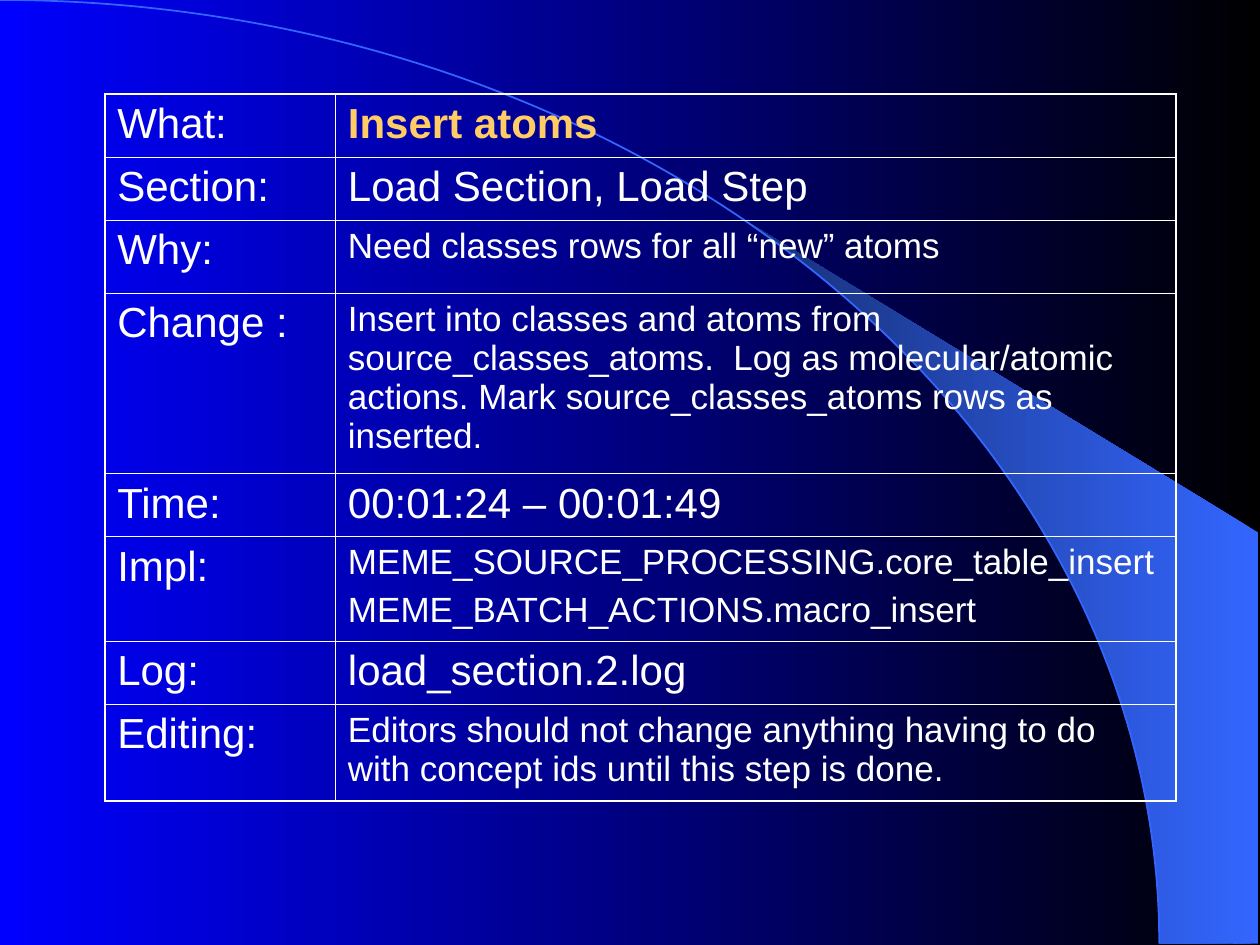
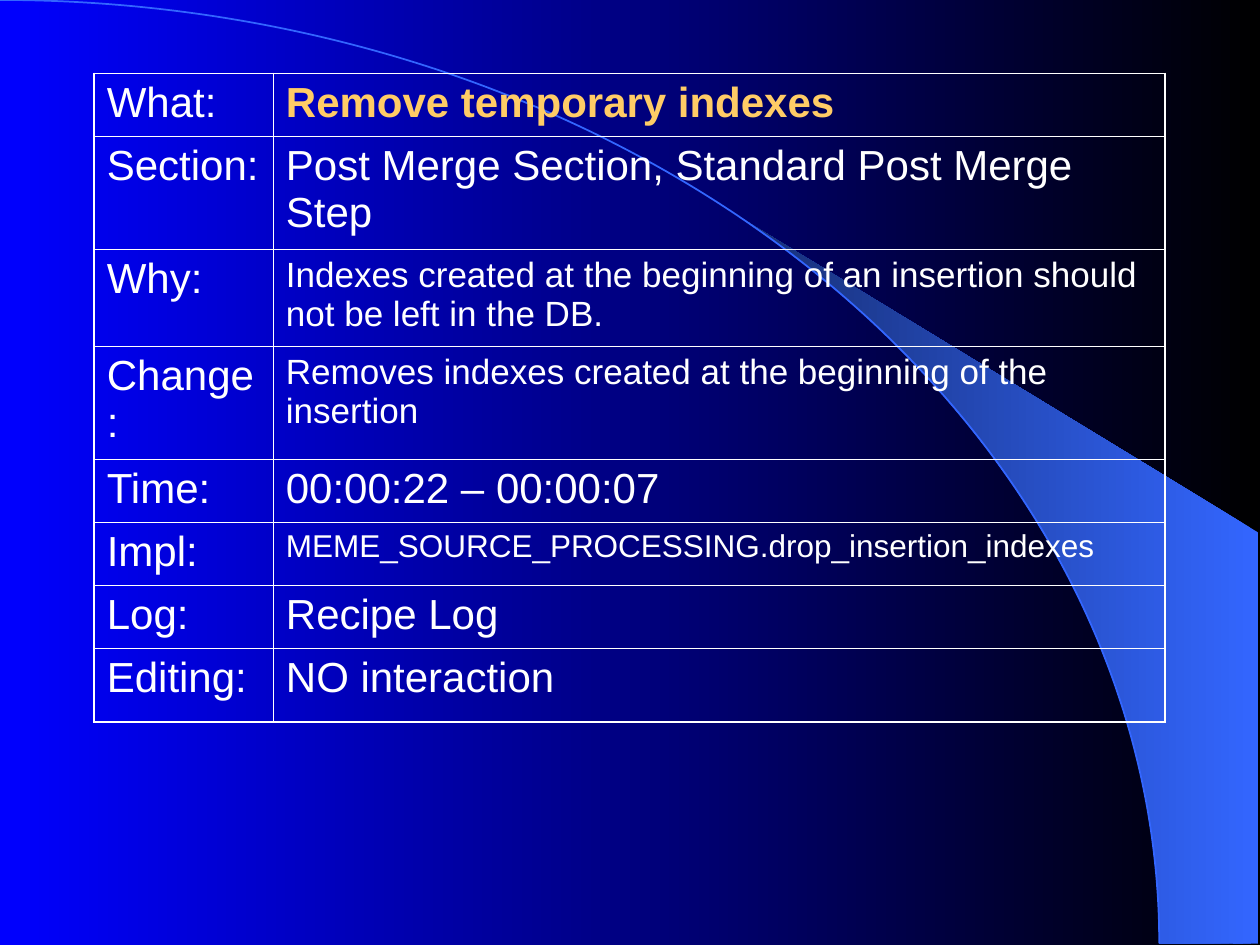
from dataclasses import dataclass
from math import cos, radians, sin

from lxml.etree import SubElement
from pptx import Presentation
from pptx.dml.color import RGBColor
from pptx.dml.fill import FillFormat
from pptx.enum.shapes import MSO_SHAPE
from pptx.oxml.ns import qn
from pptx.slide import Slide
from pptx.table import _Cell
from pptx.util import Cm, Pt

FONT = "Arial"
WHITE, GOLD = "FFFFFF", "FFCC66"
BLACK, BLUE = "000000", "0000FF"
SKY, NAVY = "3366FF", "172F75"

PAGE_WIDTH, PAGE_HEIGHT = 25.4, 19.05
ARC_RADIUS_X, ARC_RADIUS_Y = 23.37, 19.02
BEAM_RIGHT, BEAM_TOP = 25.37, 10.74
BEAM_START_ANGLE, BEAM_STEPS = 39.8, 24

OUTER_LINE, INNER_LINE = 1.08, 0.45
LABEL_SIZE = 24


@dataclass(frozen=True)
class Entry:
    label: str
    text: str
    height: float
    size: int = LABEL_SIZE
    is_heading: bool = False


@dataclass(frozen=True)
class StepCard:
    left: float
    top: float
    label_width: float
    text_width: float
    entries: tuple[Entry, ...]


CARDS = (
    StepCard(2.11, 1.9, 4.65, 16.94, (
        Entry("What:", "Insert atoms", 1.27, is_heading=True),
        Entry("Section:", "Load Section, Load Step", 1.27),
        Entry("Why:", "Need classes rows for all “new” atoms", 1.48, 20),
        Entry("Change :", "Insert into classes and atoms from source_classes_atoms.  "
              "Log as molecular/atomic actions. Mark source_classes_atoms rows as inserted.",
              3.63, 20),
        Entry("Time:", "00:01:24 – 00:01:49", 1.27),
        Entry("Impl:", "MEME_SOURCE_PROCESSING.core_table_insert\n"
              "MEME_BATCH_ACTIONS.macro_insert", 2.11, 20),
        Entry("Log:", "load_section.2.log", 1.27),
        Entry("Editing:", "Editors should not change anything having to do "
              "with concept ids until this step is done.", 1.95, 20),
    )),
    StepCard(1.9, 1.48, 3.61, 17.98, (
        Entry("What:", "Remove temporary indexes", 1.27, is_heading=True),
        Entry("Section:", "Post Merge Section, Standard Post Merge Step", 2.28),
        Entry("Why:", "Indexes created at the beginning of an insertion should "
              "not be left in the DB.", 1.95, 20),
        Entry("Change :", "Removes indexes created at the beginning of the insertion",
              2.28, 20),
        Entry("Time:", "00:00:22 – 00:00:07", 1.27),
        Entry("Impl:", "MEME_SOURCE_PROCESSING.drop_insertion_indexes", 1.27, 18),
        Entry("Log:", "Recipe Log", 1.27),
        Entry("Editing:", "NO interaction", 1.48),
    )),
)


def color(value: str) -> RGBColor:
    return RGBColor.from_string(value)


def fill_gradient(fill: FillFormat, right: str, left: str) -> None:
    fill.gradient()
    fill.gradient_angle = 180
    for stop, value in zip(fill.gradient_stops, (right, left)):
        stop.color.rgb = color(value)


def arc_point(degrees: float) -> tuple[int, int]:
    """Point on the large arc, measured clockwise from its top."""
    angle = radians(degrees)
    return Cm(ARC_RADIUS_X * sin(angle)), Cm(ARC_RADIUS_Y * (1 - cos(angle)))


def draw_backdrop(page: Slide) -> None:
    fill_gradient(page.background.fill, BLACK, BLUE)

    step = (90 - BEAM_START_ANGLE) / BEAM_STEPS
    edge = [arc_point(BEAM_START_ANGLE + step * i) for i in range(BEAM_STEPS + 1)]
    corners = [(Cm(BEAM_RIGHT), Cm(ARC_RADIUS_Y)), (Cm(BEAM_RIGHT), Cm(BEAM_TOP))]
    builder = page.shapes.build_freeform(*edge[0])
    builder.add_line_segments(edge[1:] + corners, close=True)
    beam = builder.convert_to_shape()
    beam.shadow.inherit = False
    beam.line.fill.background()
    fill_gradient(beam.fill, SKY, NAVY)

    arc = page.shapes.add_shape(MSO_SHAPE.ARC, Cm(-ARC_RADIUS_X), Cm(0),
                                Cm(2 * ARC_RADIUS_X), Cm(2 * ARC_RADIUS_Y))
    arc.shadow.inherit = False
    arc.fill.background()
    arc.line.color.rgb = color(SKY)
    arc.line.width = Pt(1)


def set_borders(cell: _Cell, widths: dict[str, float]) -> None:
    properties = cell._tc.get_or_add_tcPr()
    for side, width in widths.items():
        line = SubElement(properties, qn(f"a:ln{side}"), w=str(Pt(width)))
        solid = SubElement(line, qn("a:solidFill"))
        SubElement(solid, qn("a:srgbClr"), val=WHITE)


def write_cell(cell: _Cell, text: str, size: int, is_heading: bool = False) -> None:
    cell.fill.background()
    cell.text_frame.text = text
    for index, paragraph in enumerate(cell.text_frame.paragraphs):
        if index:
            paragraph.space_before = Pt(size / 4)
        for span in paragraph.runs:
            span.font.name = FONT
            span.font.size = Pt(size)
            span.font.bold = is_heading
            span.font.color.rgb = color(GOLD if is_heading else WHITE)


def draw_card(page: Slide, card: StepCard) -> None:
    widths = (card.label_width, card.text_width)
    height = sum(entry.height for entry in card.entries)
    last_row = len(card.entries) - 1
    table = page.shapes.add_table(len(card.entries), 2, Cm(card.left), Cm(card.top),
                                  Cm(sum(widths)), Cm(height)).table
    table.first_row = table.horz_banding = False
    for column, width in zip(table.columns, widths):
        column.width = Cm(width)
    for row, entry in enumerate(card.entries):
        table.rows[row].height = Cm(entry.height)
        for column in range(2):
            on_edge = {"L": column == 0, "R": column == 1,
                       "T": row == 0, "B": row == last_row}
            set_borders(table.cell(row, column),
                        {side: OUTER_LINE if outer else INNER_LINE
                         for side, outer in on_edge.items()})
        write_cell(table.cell(row, 0), entry.label, LABEL_SIZE)
        write_cell(table.cell(row, 1), entry.text, entry.size, entry.is_heading)


def main() -> None:
    deck = Presentation()
    deck.slide_width, deck.slide_height = Cm(PAGE_WIDTH), Cm(PAGE_HEIGHT)
    for card in CARDS:
        page = deck.slides.add_slide(deck.slide_layouts[6])
        draw_backdrop(page)
        draw_card(page, card)
    deck.save("out.pptx")


if __name__ == "__main__":
    main()
